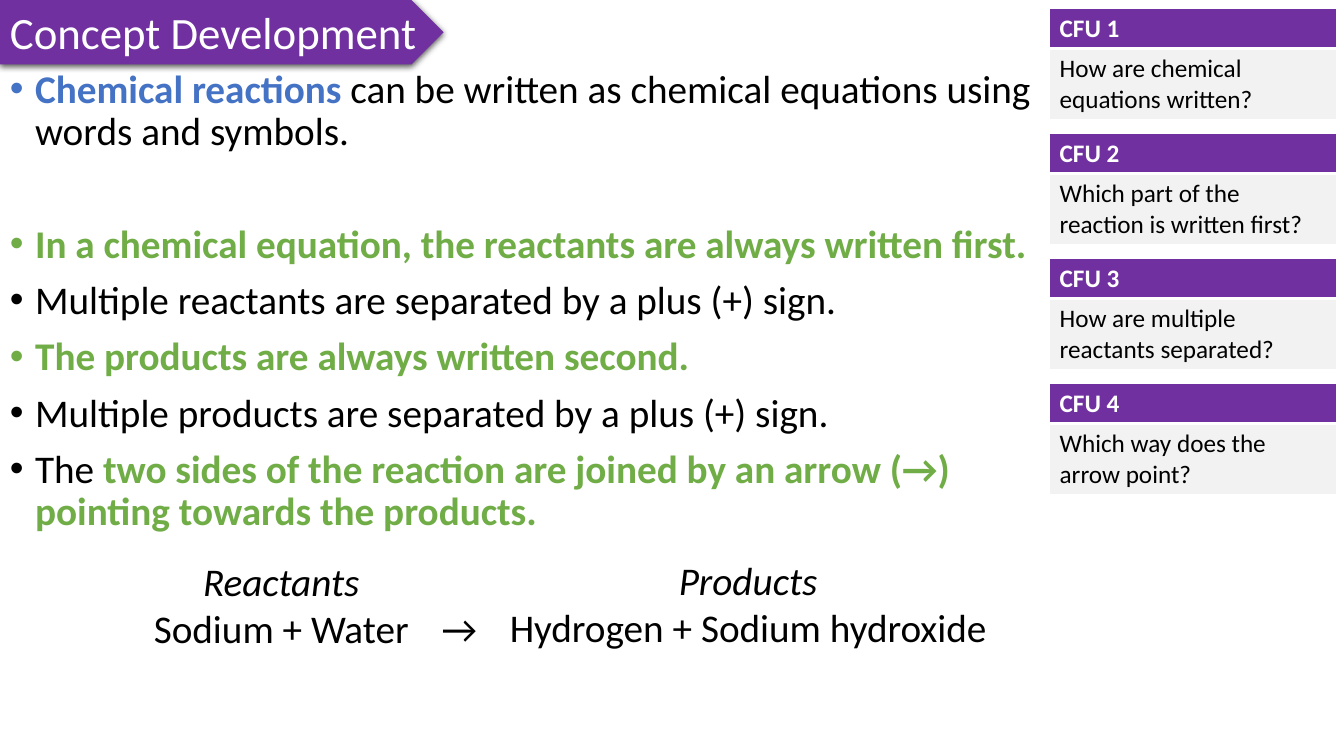
from lxml.etree import SubElement
from pptx import Presentation
from pptx.dml.color import RGBColor
from pptx.enum.shapes import MSO_SHAPE as Preset
from pptx.enum.text import MSO_ANCHOR as Anchor, MSO_AUTO_SIZE as AutoSize, PP_ALIGN as Align
from pptx.oxml.ns import qn
from pptx.util import Emu, Pt

EMU_PER_PX = 9144
PURPLE = RGBColor(0x70, 0x30, 0xA0)
BLUE = RGBColor(0x44, 0x72, 0xC4)
GREEN = RGBColor(0x70, 0xAD, 0x47)
PALE = RGBColor(0xF2, 0xF2, 0xF2)
WHITE = RGBColor(0xFF, 0xFF, 0xFF)
BLACK = RGBColor(0, 0, 0)

PLAIN = {"color": BLACK}
ITALIC = {"color": BLACK, "italic": True}
KEY_TERM = {"color": BLUE, "bold": True}
KEY_POINT = {"color": GREEN, "bold": True}

POINTS = [
    [("Chemical reactions ", KEY_TERM),
     ("can be written as chemical equations using words and symbols.", PLAIN)],
    [("In a chemical equation, the reactants are always written first.", KEY_POINT)],
    [("Multiple reactants are separated by a plus (+) sign.", PLAIN)],
    [("The products are always written second.", KEY_POINT)],
    [("Multiple products are separated by a plus (+) sign.", PLAIN)],
    [("The ", PLAIN),
     ("two sides of the reaction are joined by an arrow (→) pointing towards the products.",
      KEY_POINT)],
]
POINT_GAPS = [0, 50, 10, 10, 10, 10]
QUESTIONS = [
    "How are chemical equations written?",
    "Which part of the reaction is written first?",
    "How are multiple reactants separated?",
    "Which way does the arrow point?",
]
EQUATION = [
    ((141, 548, 276, 104), [("Reactants", ITALIC), ("Sodium + Water", PLAIN)]),
    ((493, 547, 498, 104), [("Products", ITALIC), ("Hydrogen + Sodium hydroxide", PLAIN)]),
    ((426, 595, 59, 57), [("→", PLAIN)]),
]


def px(*lengths):
    return [Emu(length * EMU_PER_PX) for length in lengths]


def assign(target, values):
    for name, value in values.items():
        setattr(target, name, value)


class LessonSlide:
    font_name = "Calibri"

    def __init__(self, presentation):
        self.slide = presentation.slides.add_slide(presentation.slide_layouts[6])
        self.shapes = self.slide.shapes

    def add_text(self, paragraph, text, size, color, **style):
        run = paragraph.add_run()
        run.text = text
        assign(run.font, {"name": self.font_name, "size": Pt(size),
                          "bold": False, "italic": False, **style})
        run.font.color.rgb = color

    def banner(self, box, text):
        shape = self.shapes.add_shape(Preset.PENTAGON, *px(*box))
        shape.fill.solid()
        shape.fill.fore_color.rgb = PURPLE
        shape.line.fill.background()
        shape.shadow.inherit = False
        effects = shape._element.spPr.find(qn("a:effectLst"))
        shadow = SubElement(effects, qn("a:outerShdw"), blurRad=str(Pt(4.5)),
                            dist=str(Pt(1.5)), dir="5400000", algn="t", rotWithShape="0")
        tint = SubElement(shadow, qn("a:srgbClr"), val=str(BLACK))
        SubElement(tint, qn("a:alpha"), val="63000")
        assign(shape.text_frame, {"word_wrap": False, "vertical_anchor": Anchor.TOP})
        paragraph = shape.text_frame.paragraphs[0]
        paragraph.alignment = Align.LEFT
        self.add_text(paragraph, text, 32, WHITE)

    def bullets(self, box, points, gaps):
        frame = self.shapes.add_textbox(*px(*box)).text_frame
        frame.word_wrap = True
        for index, (runs, gap) in enumerate(zip(points, gaps)):
            paragraph = frame.add_paragraph() if index else frame.paragraphs[0]
            properties = paragraph._p.get_or_add_pPr()
            properties.set("marL", "228600")
            properties.set("indent", "-228600")
            SubElement(properties, qn("a:buFont"), typeface="Arial")
            SubElement(properties, qn("a:buChar"), char="•")
            assign(paragraph, {"line_spacing": 0.9, "space_before": Pt(gap)})
            for text, style in runs:
                self.add_text(paragraph, text, 28, **style)

    def label(self, box, lines):
        frame = self.shapes.add_textbox(*px(*box)).text_frame
        assign(frame, {"word_wrap": False, "auto_size": AutoSize.SHAPE_TO_FIT_TEXT})
        for index, (text, style) in enumerate(lines):
            paragraph = frame.add_paragraph() if index else frame.paragraphs[0]
            paragraph.alignment = Align.CENTER
            self.add_text(paragraph, text, 28, **style)

    def cell(self, cell, text, fill, borders, **style):
        properties = cell._tc.get_or_add_tcPr()
        for side, width in zip("LRTB", borders):
            line = SubElement(properties, qn(f"a:ln{side}"), w=str(Pt(width)))
            paint = SubElement(line, qn("a:solidFill"))
            SubElement(paint, qn("a:srgbClr"), val=str(WHITE))
        cell.fill.solid()
        cell.fill.fore_color.rgb = fill
        self.add_text(cell.text_frame.paragraphs[0], text, 18, **style)

    def question_card(self, left, top, title, question):
        table = self.shapes.add_table(2, 1, *px(left, top, 285, 110)).table
        for row, height in zip(table.rows, px(39, 71)):
            row.height = height
        self.cell(table.cell(0, 0), title, PURPLE, (1, 1, 1, 3), color=WHITE, bold=True)
        self.cell(table.cell(1, 0), question, PALE, (1, 1, 3, 1), color=BLACK)


def main():
    presentation = Presentation()
    width, height = px(1333, 750)
    assign(presentation, {"slide_width": width, "slide_height": height})
    lesson = LessonSlide(presentation)
    lesson.banner((0, 0, 440, 64), "Concept Development")
    lesson.bullets((0, 64, 1041, 602), POINTS, POINT_GAPS)
    for index, question in enumerate(QUESTIONS):
        lesson.question_card(1041, 8 + 124 * index, f"CFU {index + 1}", question)
    for box, lines in EQUATION:
        lesson.label(box, lines)
    presentation.save("out.pptx")


if __name__ == "__main__":
    main()
